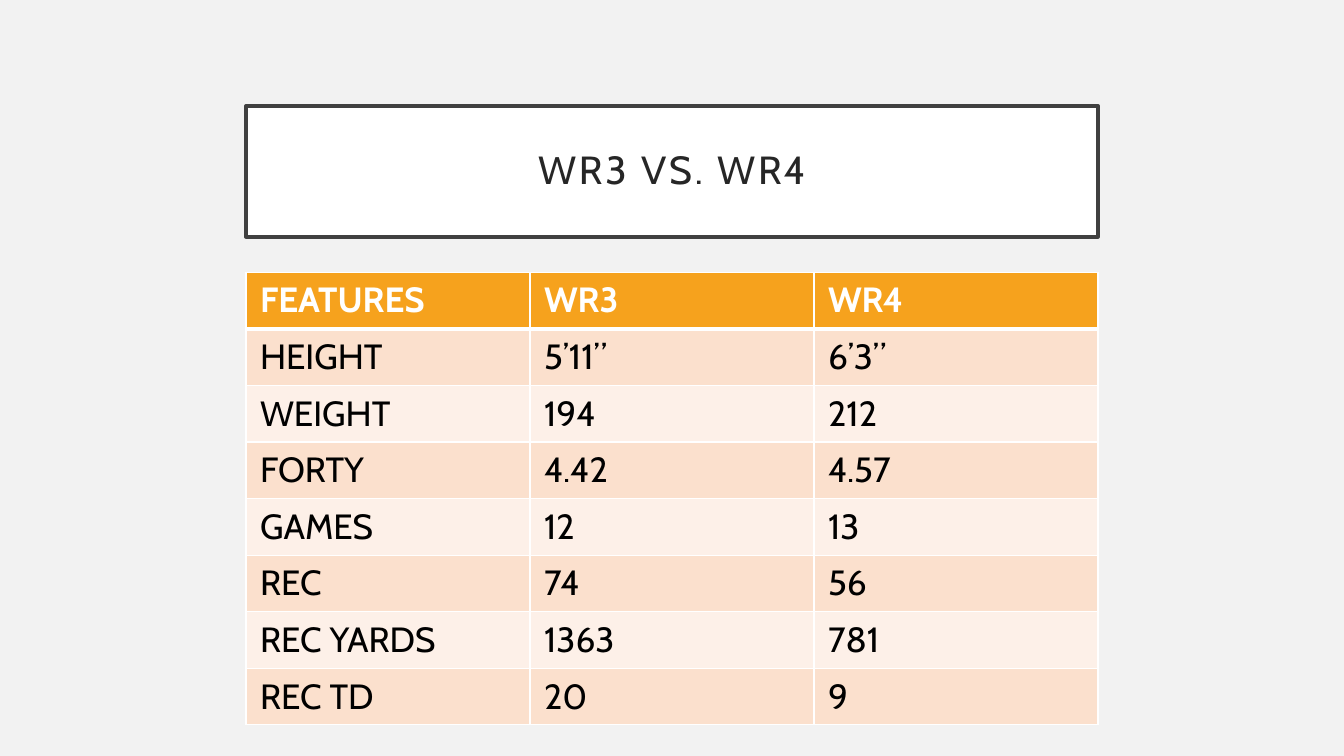
from lxml.etree import SubElement
from pptx import Presentation
from pptx.dml.color import RGBColor
from pptx.enum.text import MSO_ANCHOR as ANCHOR, MSO_AUTO_SIZE as AUTO_SIZE, PP_ALIGN as ALIGN
from pptx.oxml import parse_xml
from pptx.oxml.ns import nsdecls, qn
from pptx.util import Inches, Pt

COLORS = {
    "background": "F2F2F2",
    "white": "FFFFFF",
    "frame": "404040",
    "title": "262626",
    "header": "F6A21D",
    "odd": "FBE0CD",
    "even": "FDF0E8",
    "body": "000000",
}
TITLE = "WR3 VS. WR4"
RECEIVERS = [
    ("FEATURES", "WR3", "WR4"),
    ("HEIGHT", "5’11”", "6’3”"),
    ("WEIGHT", "194", "212"),
    ("FORTY", "4.42", "4.57"),
    ("GAMES", "12", "13"),
    ("REC", "74", "56"),
    ("REC YARDS", "1363", "781"),
    ("REC TD", "20", "9"),
]
# Left, top, width and height in percent of the slide
TITLE_AREA = (18.3, 14, 63.4, 17.33)
TABLE_AREA = (18.3, 36, 63.4, 59.5)


def rgb(name):
    return RGBColor.from_string(COLORS[name])


def apply(target, values):
    for name, value in values.items():
        setattr(target, name, value)


def margins(x, y):
    return {"margin_left": Inches(x), "margin_right": Inches(x),
            "margin_top": Inches(y), "margin_bottom": Inches(y)}


class SlideBuilder:
    font = "Cabin"

    def __init__(self, prs):
        self.width, self.height = prs.slide_width, prs.slide_height
        self.slide = prs.slides.add_slide(prs.slide_layouts[5])
        fill = self.slide.background.fill
        fill.solid()
        fill.fore_color.rgb = rgb("background")

    def place(self, area):
        """Turn percentages of the slide into lengths."""
        sides = (self.width, self.height) * 2
        return [int(share * side / 100) for share, side in zip(area, sides)]

    def add_text(self, p, text, size, color, bold=False):
        r = p.add_run()
        r.text = text
        apply(r.font, {"name": self.font, "size": Pt(size), "bold": bold})
        r.font.color.rgb = rgb(color)
        return r

    def title(self, text, area):
        sp = self.slide.shapes.title
        apply(sp, dict(zip(("left", "top", "width", "height"), self.place(area))))
        sp.fill.solid()
        sp.fill.fore_color.rgb = rgb("white")
        sp.line.color.rgb = rgb("frame")
        sp.line.width = Pt(2.5)
        tf = sp.text_frame
        apply(tf, {"word_wrap": True, "auto_size": AUTO_SIZE.NONE,
                   "vertical_anchor": ANCHOR.MIDDLE, **margins(0.2, 0.2)})
        p = tf.paragraphs[0]
        apply(p, {"alignment": ALIGN.CENTER, "line_spacing": 0.9})
        r = self.add_text(p, text, 28, "title")
        r._r.get_or_add_rPr().set("spc", "200")

    def borders(self, cell, top, bottom):
        """Draw white borders, 1 pt at the sides."""
        tc_pr = cell._tc.get_or_add_tcPr()
        widths = {"lnL": 1, "lnR": 1, "lnT": top, "lnB": bottom}
        for i, (tag, width) in enumerate(widths.items()):
            ln = parse_xml(f'<a:{tag} {nsdecls("a")} w="{Pt(width)}"/>')
            fill = SubElement(ln, qn("a:solidFill"))
            SubElement(fill, qn("a:srgbClr"), val=COLORS["white"])
            tc_pr.insert(i, ln)

    def table(self, rows, area):
        frame = self.slide.shapes.add_table(len(rows), len(rows[0]), *self.place(area))
        for i, row in enumerate(rows):
            is_header = i == 0
            fill = "header" if is_header else ("even", "odd")[i % 2]
            for j, text in enumerate(row):
                cell = frame.table.cell(i, j)
                cell.fill.solid()
                cell.fill.fore_color.rgb = rgb(fill)
                apply(cell, margins(0.14, 0.07))
                self.add_text(cell.text_frame.paragraphs[0], text, 25,
                              "white" if is_header else "body", is_header)
                self.borders(cell, 3 if i == 1 else 1, 3 if is_header else 1)


def main():
    prs = Presentation()
    prs.slide_width, prs.slide_height = Inches(13.33), Inches(7.5)
    builder = SlideBuilder(prs)
    builder.title(TITLE, TITLE_AREA)
    builder.table(RECEIVERS, TABLE_AREA)
    prs.save("out.pptx")


if __name__ == "__main__":
    main()
